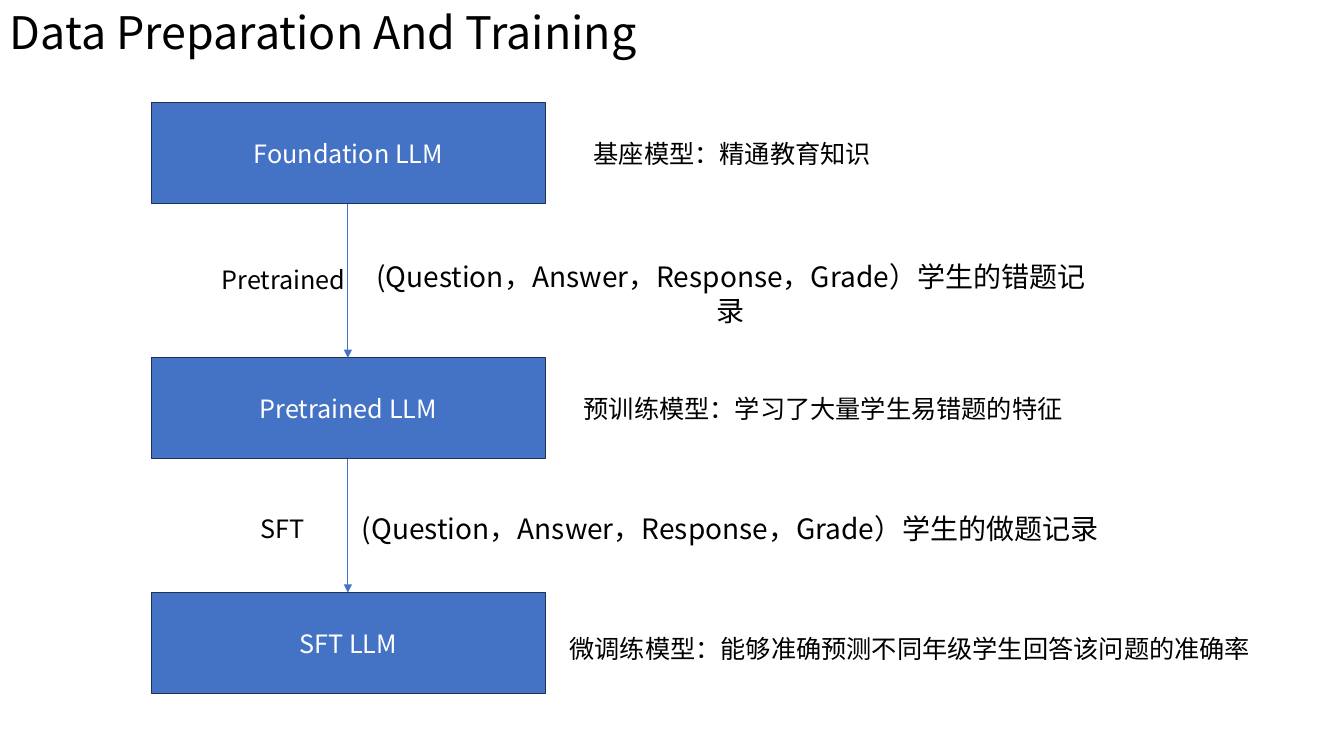
from dataclasses import dataclass

import pptx
import pptx.dml.color
import pptx.enum.shapes
import pptx.enum.text
import pptx.oxml
import pptx.oxml.ns
import pptx.util
from pptx.util import Inches

FONT = "Noto Sans CJK SC"
COLORS = {"text": "000000", "stage": "4472C4", "border": "1E3256", "label": "FFFFFF"}
STAGE_LEFT, STAGE_WIDTH, STAGE_HEIGHT = 1.5, 3.91, 1
ARROW_X = 3.45
ALIGN = pptx.enum.text.PP_ALIGN


@dataclass
class Stage:
    name: str
    top: float


@dataclass
class Caption:
    text: str
    left: float
    top: float
    width: float
    height: float = 0.4
    size: int = 18
    align: ALIGN = ALIGN.LEFT


STAGES = [Stage("Foundation LLM", 1.02), Stage("Pretrained LLM", 3.55), Stage("SFT LLM", 5.88)]

CAPTIONS = [
    Caption("Data Preparation And Training", 0, 0, 10.81, 0.64, 32),
    # What each model can do
    Caption("基座模型：精通教育知识", 5.79, 1.32, 3.12),
    Caption("预训练模型：学习了大量学生易错题的特征", 5.69, 3.85, 5.02),
    Caption("微调练模型：能够准确预测不同年级学生回答该问题的准确率", 5.55, 6.23, 7.16),
    # Training steps and their data
    Caption("Pretrained", 2.1, 2.57, 1.79),
    Caption("(Question，Answer，Response，Grade）学生的错题记录",
            3.58, 2.53, 7.34, 0.44, 20, ALIGN.CENTER),
    Caption("SFT", 2.49, 5.04, 0.83),
    Caption("(Question，Answer，Response，Grade）学生的做题记录",
            3.17, 5.03, 8.15, 0.44, 20, ALIGN.CENTER),
]


def rgb(key: str) -> pptx.dml.color.RGBColor:
    return pptx.dml.color.RGBColor.from_string(COLORS[key])


def write_text(frame, text: str, *, size: int = 18, color: str = "text",
               align: ALIGN = ALIGN.LEFT) -> None:
    frame.word_wrap = True
    paragraph = frame.paragraphs[0]
    paragraph.alignment = align
    run = paragraph.add_run()
    run.text = text
    run.font.size = pptx.util.Pt(size)
    run.font.color.rgb = rgb(color)
    run.font.name = FONT
    east_asian = pptx.oxml.parse_xml(
        f'<a:ea {pptx.oxml.ns.nsdecls("a")} typeface="{FONT}"/>')
    run.font._element.append(east_asian)


def draw_stage(slide, stage: Stage) -> None:
    box = slide.shapes.add_shape(
        pptx.enum.shapes.MSO_SHAPE.RECTANGLE, Inches(STAGE_LEFT), Inches(stage.top),
        Inches(STAGE_WIDTH), Inches(STAGE_HEIGHT))
    box.shadow.inherit = False
    box.fill.solid()
    box.fill.fore_color.rgb = rgb("stage")
    box.line.color.rgb = rgb("border")
    box.line.width = pptx.util.Pt(1)
    box.text_frame.vertical_anchor = pptx.enum.text.MSO_ANCHOR.MIDDLE
    write_text(box.text_frame, stage.name, color="label", align=ALIGN.CENTER)


def draw_arrow(slide, upper: Stage, lower: Stage) -> None:
    arrow = slide.shapes.add_connector(
        pptx.enum.shapes.MSO_CONNECTOR.STRAIGHT, Inches(ARROW_X),
        Inches(upper.top + STAGE_HEIGHT), Inches(ARROW_X), Inches(lower.top))
    arrow.line.color.rgb = rgb("stage")
    arrow.line.width = pptx.util.Pt(0.5)
    namespace = pptx.oxml.ns.nsdecls("a")
    arrow.line._get_or_add_ln().append(
        pptx.oxml.parse_xml(f'<a:tailEnd {namespace} type="triangle"/>'))
    arrow._element.spPr.append(pptx.oxml.parse_xml(f"<a:effectLst {namespace}/>"))


def draw_caption(slide, caption: Caption) -> None:
    box = slide.shapes.add_textbox(
        Inches(caption.left), Inches(caption.top),
        Inches(caption.width), Inches(caption.height))
    write_text(box.text_frame, caption.text, size=caption.size, align=caption.align)
    box.text_frame.auto_size = pptx.enum.text.MSO_AUTO_SIZE.SHAPE_TO_FIT_TEXT


def main() -> None:
    deck = pptx.Presentation()
    deck.slide_width, deck.slide_height = Inches(13.33), Inches(7.5)
    slide = deck.slides.add_slide(deck.slide_layouts[6])

    # Model stages from top to bottom, linked by arrows
    for stage in STAGES:
        draw_stage(slide, stage)
    for upper, lower in zip(STAGES, STAGES[1:]):
        draw_arrow(slide, upper, lower)

    # Title and explanations
    for caption in CAPTIONS:
        draw_caption(slide, caption)

    deck.save("out.pptx")


if __name__ == "__main__":
    main()
